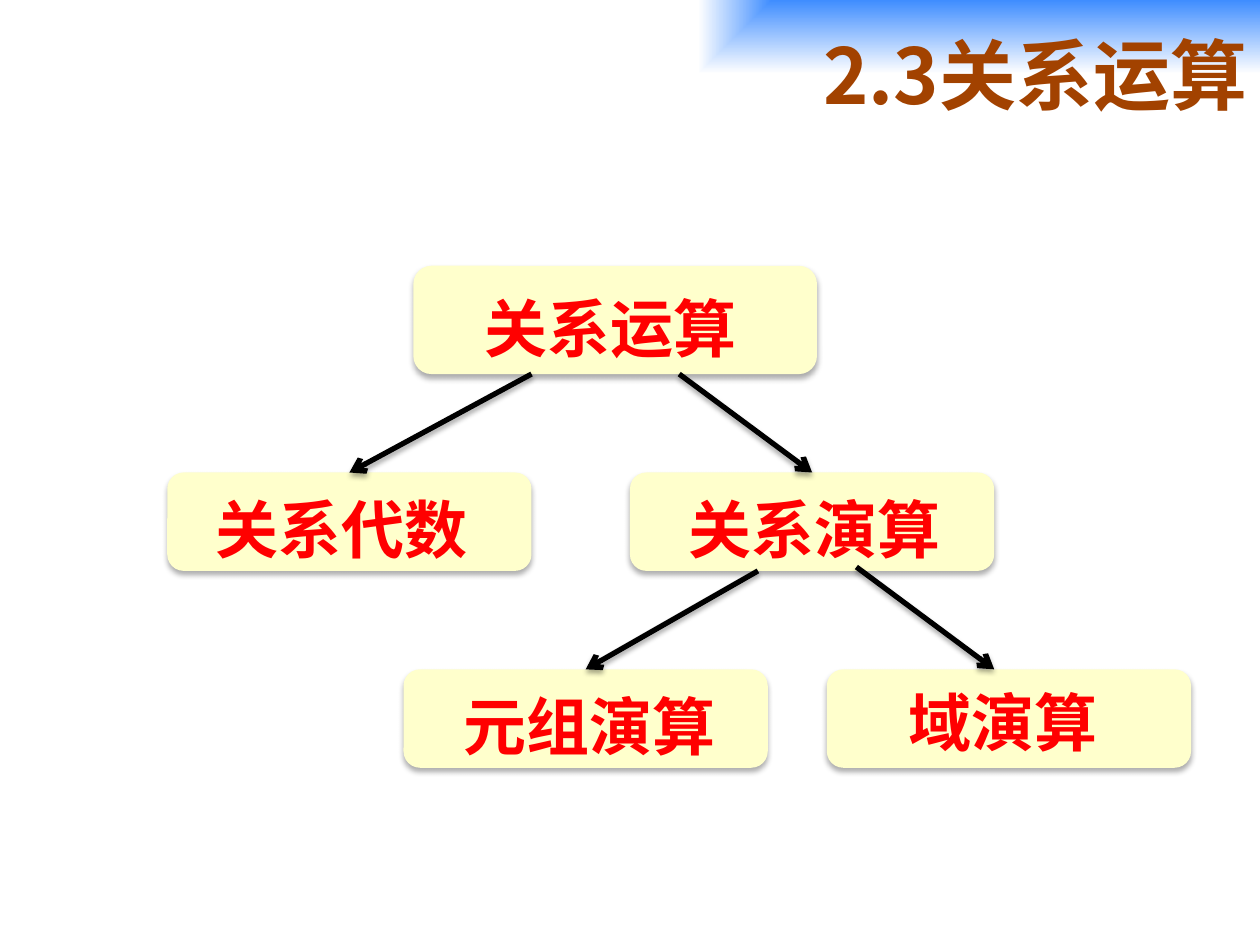
from dataclasses import dataclass
from typing import Optional

from lxml import etree
from pptx import Presentation
from pptx.dml.color import RGBColor
from pptx.enum.shapes import MSO_CONNECTOR as Connector, MSO_SHAPE as Shape
from pptx.enum.text import MSO_ANCHOR as Anchor, MSO_AUTO_SIZE as AutoSize, PP_ALIGN as Align
from pptx.oxml import parse_xml
from pptx.oxml.ns import nsdecls, qn
from pptx.util import Inches, Pt

# The page is a grid of 12.8 columns by 9.6 rows of square cells
CELL = Inches(10) / 12.8
BOX_COLUMNS, BOX_ROWS = 3.7, 1
LABEL_ROWS = 0.98
CHARACTER_COLUMNS, LABEL_MARGIN = 0.64, 0.28


@dataclass
class Node:
    text: str
    column: float
    row: float
    label_column: float
    label_row: float
    columns: float = BOX_COLUMNS
    rows: float = BOX_ROWS


@dataclass
class Arrow:
    start: tuple[float, float]
    end: tuple[float, float]
    target: Optional[str] = None


NODES = [
    Node("关系运算", 4.2, 2.7, 4.8, 2.8, 4.1, 1.1),
    Node("关系代数", 1.7, 4.8, 2.06, 4.84),
    Node("关系演算", 6.4, 4.8, 6.87, 4.84),
    Node("域演算", 8.4, 6.8, 9.1, 6.8),
    Node("元组演算", 4.1, 6.8, 4.58, 6.84),
]
ARROWS = [
    Arrow((5.4, 3.8), (3.6, 4.8), "关系代数"),
    Arrow((6.9, 3.8), (8.3, 4.84), "关系演算"),
    Arrow((7.7, 5.8), (5.9, 6.8), "元组演算"),
    Arrow((8.7, 5.76), (10.1, 6.8)),
]


def cells(*counts: float) -> list[int]:
    return [round(count * CELL) for count in counts]


def color(value: str) -> RGBColor:
    return RGBColor.from_string(value)


def set_values(target, values: dict) -> None:
    for name, value in values.items():
        setattr(target, name, value)


def format_span(span, font: str, size: float, value: str) -> None:
    set_values(span.font, {"name": font, "size": Pt(size), "bold": True})
    span.font.color.rgb = color(value)
    etree.SubElement(span.font._element, qn("a:ea"), typeface=font)


def add_shadow(effects, blur: float, distance: float, opacity: int) -> None:
    effects.append(parse_xml(
        f'<a:outerShdw {nsdecls("a")} blurRad="{Pt(blur)}" dist="{Pt(distance)}" '
        f'dir="5400000" rotWithShape="0"><a:srgbClr val="000000">'
        f'<a:alpha val="{opacity * 1000}"/></a:srgbClr></a:outerShdw>'))


def fill_title(page, text: str) -> None:
    title = page.shapes.title
    left, width, height = cells(1.38, 11.42, 1.5)
    set_values(title, {"left": left, "top": 0, "width": width, "height": height})
    title.text_frame.vertical_anchor = Anchor.MIDDLE
    para = title.text_frame.paragraphs[0]
    para.alignment = Align.RIGHT
    span = para.add_run()
    span.text = text
    format_span(span, "Noto Sans CJK SC", 44, "A24200")
    # Gradient spreading from the top right corner
    title._element.spPr.append(parse_xml(
        f'<a:gradFill {nsdecls("a")} rotWithShape="0"><a:gsLst>'
        '<a:gs pos="0"><a:srgbClr val="3F8DFF"/></a:gs>'
        '<a:gs pos="100000"><a:srgbClr val="FFFFFF"/></a:gs></a:gsLst>'
        '<a:path path="rect"><a:fillToRect l="100000" b="100000"/></a:path></a:gradFill>'))


def draw_node(page, node: Node):
    box = page.shapes.add_shape(
        Shape.ROUNDED_RECTANGLE, *cells(node.column, node.row, node.columns, node.rows))
    box.fill.solid()
    box.fill.fore_color.rgb = color("FFFFCC")
    box.line.fill.background()
    box.shadow.inherit = False
    add_shadow(box._element.spPr.find(qn("a:effectLst")), 3.5, 2.2, 32)

    label_columns = len(node.text) * CHARACTER_COLUMNS + LABEL_MARGIN
    label = page.shapes.add_textbox(
        *cells(node.label_column, node.label_row, label_columns, LABEL_ROWS))
    set_values(label.text_frame,
               {"word_wrap": False, "auto_size": AutoSize.SHAPE_TO_FIT_TEXT})
    para = label.text_frame.paragraphs[0]
    set_values(para, {"alignment": Align.JUSTIFY, "line_spacing": 1.1,
                      "space_before": Pt(7.2)})
    span = para.add_run()
    span.text = node.text
    format_span(span, "Noto Sans CJK JP", 36, "FF0000")
    return box


def draw_arrow(page, arrow: Arrow, boxes: dict) -> None:
    line = page.shapes.add_connector(
        Connector.STRAIGHT, *cells(*arrow.start, *arrow.end))
    if arrow.target:
        line.end_connect(boxes[arrow.target], 0)
    line.line.width = Pt(3)
    line.line.color.rgb = color("000000")
    properties = line._element.spPr
    etree.SubElement(properties.find(qn("a:ln")), qn("a:tailEnd"), type="arrow")
    add_shadow(etree.SubElement(properties, qn("a:effectLst")), 3.1, 1.8, 35)


def main() -> None:
    deck = Presentation()
    set_values(deck, {"slide_width": Inches(10), "slide_height": Inches(7.5)})
    page = deck.slides.add_slide(deck.slide_layouts[5])

    fill_title(page, "2.3关系运算")
    # Tree of operations, then the arrows between its levels
    boxes = {node.text: draw_node(page, node) for node in NODES}
    for arrow in ARROWS:
        draw_arrow(page, arrow, boxes)

    deck.save("out.pptx")


if __name__ == "__main__":
    main()
